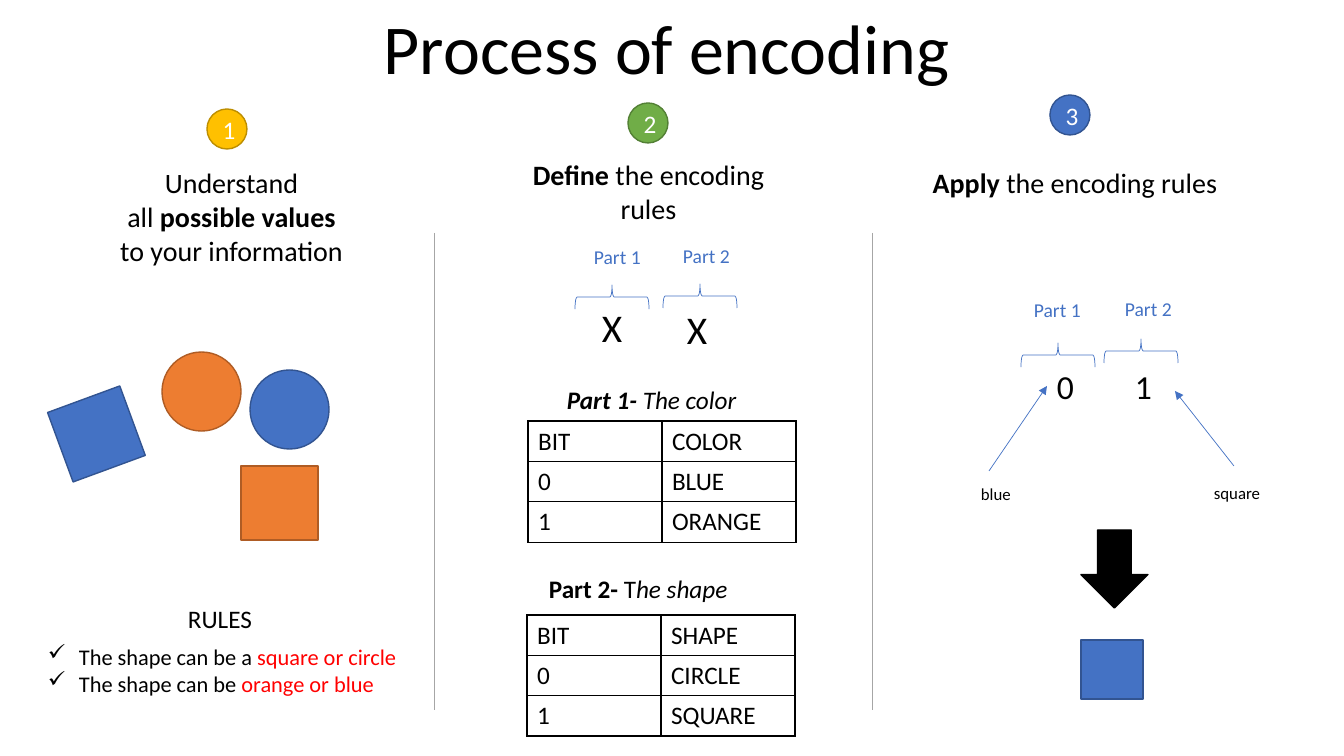
from lxml import etree
from pptx import Presentation
from pptx import util as u
from pptx.dml.color import RGBColor
from pptx.enum import shapes, text
from pptx.oxml.ns import qn

SCALE = 914400 / 100.8
FONT = "Calibri"
COLORS = {
    "black": "000000", "white": "FFFFFF", "red": "FF0000", "grey": "A6A6A6",
    "blue": "4472C4", "blue edge": "325491", "orange": "ED7D31",
    "orange edge": "AF5C24", "yellow": "FFC000", "yellow edge": "BD8E00",
    "green": "70AD47", "green edge": "538035", "black edge": "000000",
}
BOLD, ITALIC, RED = {"bold": True}, {"italic": True}, {"color": "red"}
CENTER = {"alignment": text.PP_ALIGN.CENTER}
KIND = shapes.MSO_SHAPE

# Each paragraph is a list of (words, run format).
# Text: box, size, paragraphs, paragraph format, wrap
TEXTS = [
    ((374, 0, 591, 95), 50, [[("Process of encoding", {})]], {}, False),
    ((30, 161, 403, 112), 20,
     [[("Understand", {})],
      [("all ", {}), ("possible values", BOLD)],
      [("to your information", {})]], CENTER, True),
    ((504, 153, 289, 78), 20,
     [[("Define", BOLD), (" the encoding rules", {})]], CENTER, True),
    ((897, 161, 356, 44), 20,
     [[("Apply", BOLD), (" the encoding rules", {})]], CENTER, True),
    ((178, 598, 85, 40), 18, [[("RULES", {})]], {}, False),
    ((557, 379, 192, 40), 18,
     [[("Part 1- ", {**BOLD, **ITALIC}), ("The color", ITALIC)]], {}, False),
    ((539, 568, 202, 40), 18,
     [[("Part 2- ", BOLD), ("T", {}), ("he shape", ITALIC)]], {}, False),
    ((592, 298, 40, 57), 28, [[("X", {})]], {}, True),
    ((677, 300, 40, 57), 28, [[("X", {})]], {}, True),
    ((971, 479, 50, 30), 12, [[("blue", {})]], {}, False),
    ((1204, 478, 67, 30), 12, [[("square", {})]], {}, False),
]
RULES = [("The shape can be a ", "square or circle"),
         ("The shape can be ", "orange or blue")]
RULES_BOX, RULE_INDENT = (38, 638, 373, 65), 31
CODE, CODE_BOX, CODE_TAB = "0\t1", (1047, 361, 116, 50), 78

# Step number: colour, left, top
STEPS = [("yellow", 207, 109), ("green", 628, 103), ("blue", 1050, 95)]
STEP_SIZE = 40

# Figure: kind, box, colour, rotation
FIGURES = [
    (KIND.RECTANGLE, (58, 397, 77, 74), "blue", 339.8),
    (KIND.RECTANGLE, (241, 466, 77, 74), "orange", 0),
    (KIND.OVAL, (250, 370, 79, 79), "blue", 0),
    (KIND.OVAL, (162, 352, 79, 79), "orange", 0),
    (KIND.DOWN_ARROW, (1081, 530, 67, 78), "black", 0),
    (KIND.RECTANGLE, (1081, 640, 62, 59), "blue", 0),
]

# Part label: words, label left and top, brace left and top
PARTS = [
    ("Part 1", (584, 240), (600, 260)), ("Part 2", (673, 239), (688, 259)),
    ("Part 1", (1024, 293), (1046, 318)), ("Part 2", (1115, 292), (1129, 314)),
]
LABEL_SIZE, BRACE_SIZE = (67, 34), (24, 74)

# Table: left, top, rows
TABLES = [
    (528, 421, [("BIT", "COLOR"), ("0", "BLUE"), ("1", "ORANGE")]),
    (527, 615, [("BIT", "SHAPE"), ("0", "CIRCLE"), ("1", "SQUARE")]),
]
COLUMN, ROW = 134, 40

DIVIDERS, DIVIDER_TOP, DIVIDER_BOTTOM = (434, 872), 233, 710
POINTERS = [(989, 471, 1047, 386), (1234, 466, 1175, 391)]


def px(*lengths):
    """Turn pixel lengths into a list of EMU."""
    return [u.Emu(round(length * SCALE)) for length in lengths]


def rgb(name):
    """Look up a named colour."""
    return RGBColor.from_string(COLORS[name])


def apply(target, values):
    """Set every attribute in values on target."""
    for name, value in values.items():
        setattr(target, name, value)


def add_run(paragraph, words, size, color="black", **style):
    """Add one formatted run."""
    run = paragraph.add_run()
    run.text = words
    apply(run.font, {"name": FONT, "size": u.Pt(size), **style})
    run.font.color.rgb = rgb(color)


def write(frame, paragraphs, size, layout=None):
    """Fill a text frame and return its paragraphs."""
    for index, runs in enumerate(paragraphs):
        paragraph = frame.add_paragraph() if index else frame.paragraphs[0]
        apply(paragraph, layout or {})
        for words, style in runs:
            add_run(paragraph, words, size, **style)
    return frame.paragraphs


def add_text(box, size, paragraphs, layout=None, wrap=False):
    """Add a text box and return its paragraphs."""
    frame = slide.shapes.add_textbox(*px(*box)).text_frame
    frame.word_wrap = wrap
    return write(frame, paragraphs, size, layout)


def add_figure(kind, box, color, rotation=0):
    """Add a filled shape with its darker edge."""
    figure = slide.shapes.add_shape(kind, *px(*box))
    figure.shadow.inherit = False
    figure.rotation = rotation
    figure.fill.solid()
    figure.fill.fore_color.rgb = rgb(color)
    figure.line.color.rgb = rgb(color + " edge")
    figure.line.width = u.Pt(1)
    return figure


def add_brace(left, top):
    """Add a thin brace that opens downwards."""
    brace = slide.shapes.add_shape(KIND.LEFT_BRACE, *px(left, top, *BRACE_SIZE))
    brace.shadow.inherit = False
    brace.rotation = 90
    brace.fill.background()
    brace.line.color.rgb = rgb("blue")
    brace.line.width = u.Pt(0.5)


def add_line(ends, color, arrow=False):
    """Add a thin straight line, with an arrowhead if asked."""
    line = slide.shapes.add_connector(shapes.MSO_CONNECTOR.STRAIGHT, *px(*ends))
    line.line.color.rgb = rgb(color)
    line.line.width = u.Pt(0.5)
    if arrow:
        etree.SubElement(line.line._get_or_add_ln(), qn("a:tailEnd"), type="triangle")
    etree.SubElement(line._element.spPr, qn("a:effectLst"))


def add_borders(cell):
    """Draw a black line on all four sides of a cell."""
    properties = cell._tc.get_or_add_tcPr()
    for index, side in enumerate(("a:lnL", "a:lnR", "a:lnT", "a:lnB")):
        border = etree.Element(qn(side), w=str(u.Pt(1)))
        fill = etree.SubElement(border, qn("a:solidFill"))
        etree.SubElement(fill, qn("a:srgbClr"), val=COLORS["black"])
        properties.insert(index, border)


def add_code_table(left, top, rows):
    """Add a plain table of bits and their meanings."""
    width, height = COLUMN * len(rows[0]), ROW * len(rows)
    table = slide.shapes.add_table(
        len(rows), len(rows[0]), *px(left, top, width, height)).table
    apply(table, {"first_row": False, "horz_banding": False})
    for r, row in enumerate(rows):
        for c, words in enumerate(row):
            cell = table.cell(r, c)
            cell.fill.background()
            add_borders(cell)
            write(cell.text_frame, [[(words, {})]], 18)


deck = Presentation()
deck.slide_width, deck.slide_height = px(1344, 756)
slide = deck.slides.add_slide(deck.slide_layouts[6])

for entry in TEXTS:
    add_text(*entry)
for divider in DIVIDERS:
    add_line((divider, DIVIDER_TOP, divider, DIVIDER_BOTTOM), "grey")
for pointer in POINTERS:
    add_line(pointer, "blue", arrow=True)
for figure_entry in FIGURES:
    add_figure(*figure_entry)
for table_entry in TABLES:
    add_code_table(*table_entry)

for number, (step_color, left, top) in enumerate(STEPS, 1):
    step = add_figure(KIND.OVAL, (left, top, STEP_SIZE, STEP_SIZE), step_color)
    step.text_frame.vertical_anchor = text.MSO_ANCHOR.MIDDLE
    write(step.text_frame, [[(str(number), {"color": "white"})]], 18, CENTER)

for part, label_at, brace_at in PARTS:
    add_text((*label_at, *LABEL_SIZE), 14, [[(part, {"color": "blue"})]])
    add_brace(*brace_at)

rule_runs = [[(start, {}), (choice, RED)] for start, choice in RULES]
indent = px(RULE_INDENT)[0]
for rule in add_text(RULES_BOX, 16, rule_runs):
    rule_format = rule._p.get_or_add_pPr()
    rule_format.set("marL", str(indent))
    rule_format.set("indent", str(-indent))
    etree.SubElement(rule_format, qn("a:buChar"), char="✓")

code = add_text(CODE_BOX, 24, [[(CODE, {})]])[0]
tabs = etree.SubElement(code._p.get_or_add_pPr(), qn("a:tabLst"))
etree.SubElement(tabs, qn("a:tab"), pos=str(px(CODE_TAB)[0]), algn="l")

deck.save("out.pptx")
